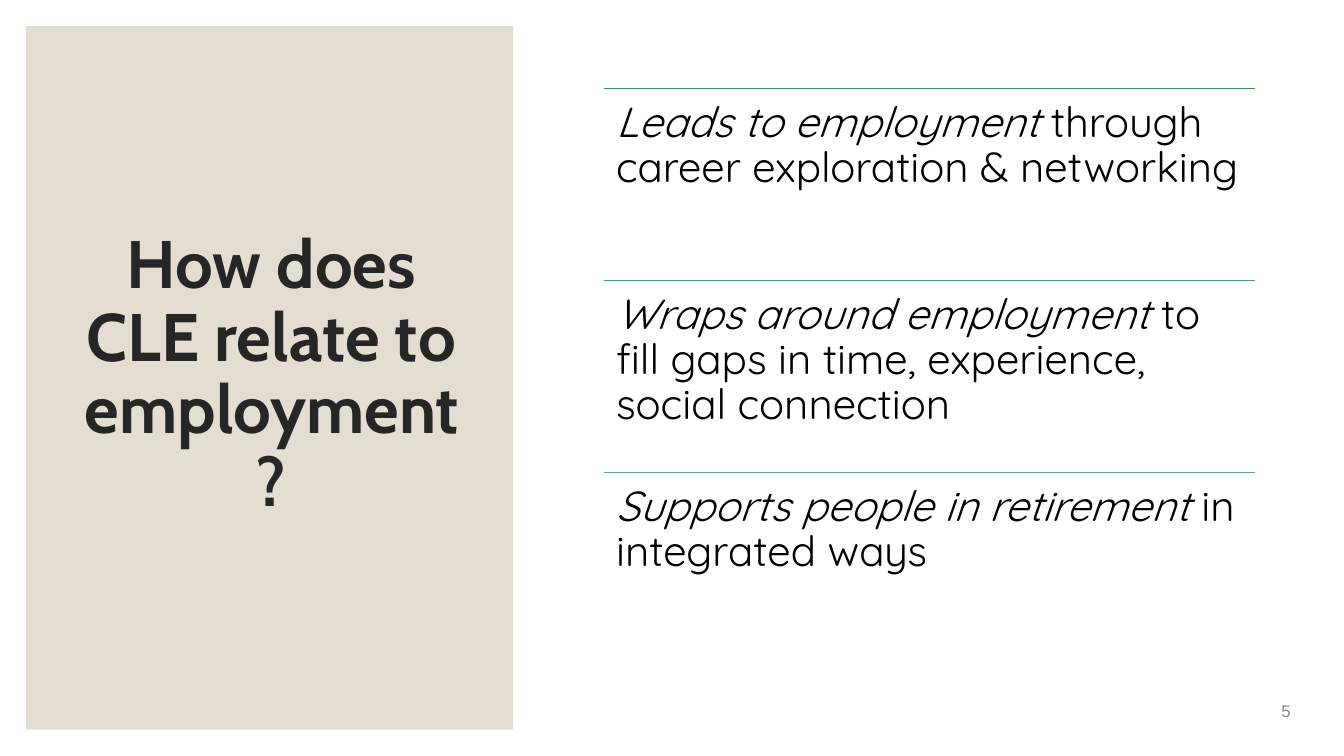
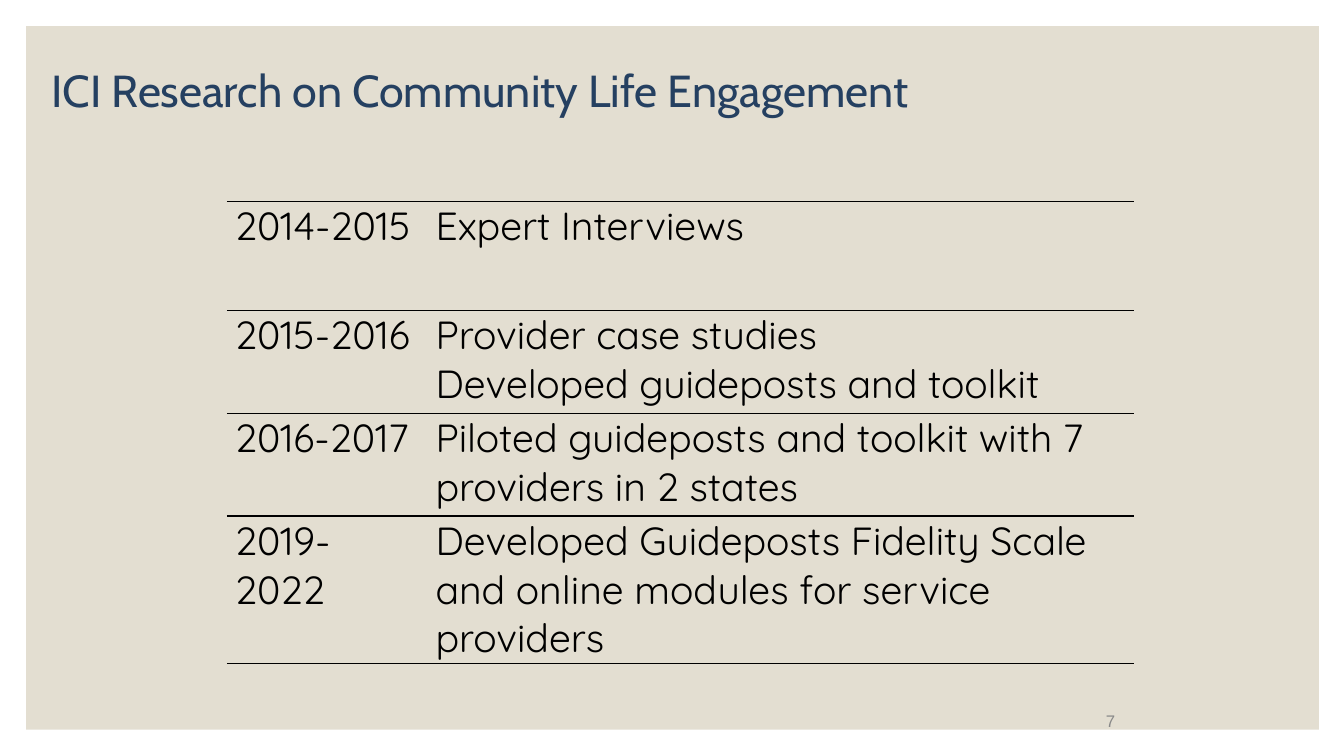
import pptx
import pptx.util
import pptx.dml.color
import pptx.enum.shapes
import pptx.enum.text
import lxml.etree
from pptx.util import Inches

ALIGN = pptx.enum.text.PP_ALIGN
ANCHOR = pptx.enum.text.MSO_ANCHOR
DRAWING_NS = "http://schemas.openxmlformats.org/drawingml/2006/main"

THEME = {
    "panel": "E3DED1",
    "rules": ["3E8853", "4E977B", "62A39F"],
    "question": {"name": "Cabin", "size": 48, "color": "262626", "bold": True},
    "title": {"name": "Cabin", "size": 32, "color": "254061"},
    "point": {"name": "Quicksand", "size": 30, "color": "000000"},
    "cell": {"name": "Quicksand", "size": 28, "color": "000000"},
    "number": {"name": "Arial", "size": 12, "color": "898989"},
}


def write(frame, paragraphs, style, inset=(0.1, 0.05), anchor=ANCHOR.TOP, **paragraph_format):
    """Fill a text frame; each paragraph is a list of (text, font overrides)."""
    side, top = map(Inches, inset)
    frame_format = {"word_wrap": True, "vertical_anchor": anchor, "margin_left": side,
                    "margin_right": side, "margin_top": top, "margin_bottom": top}
    for key, value in frame_format.items():
        setattr(frame, key, value)
    for index, runs in enumerate(paragraphs):
        paragraph = frame.add_paragraph() if index else frame.paragraphs[0]
        for key, value in paragraph_format.items():
            setattr(paragraph, key, value)
        for text, overrides in runs:
            run = paragraph.add_run()
            run.text = text
            for key, value in {**style, **overrides}.items():
                if key == "color":
                    run.font.color.rgb = pptx.dml.color.RGBColor.from_string(value)
                else:
                    setattr(run.font, key, pptx.util.Pt(value) if key == "size" else value)


def add_panel(slide, width):
    panel = slide.shapes.add_shape(pptx.enum.shapes.MSO_SHAPE.RECTANGLE, Inches(0.26),
                                   Inches(0.26), Inches(width), Inches(6.98))
    panel.shadow.inherit = False
    panel.fill.solid()
    panel.fill.fore_color.rgb = pptx.dml.color.RGBColor.from_string(THEME["panel"])
    panel.line.fill.background()


deck = pptx.Presentation()
deck.slide_width, deck.slide_height = Inches(13.33), Inches(7.5)
blank = deck.slide_layouts[6]

# Slide 1: question panel
employment = deck.slides.add_slide(blank)
add_panel(employment, 4.83)
question = employment.shapes.add_textbox(Inches(0.63), Inches(0.61), Inches(4.12), Inches(6.24))
write(question.text_frame, [[("How does CLE relate to employment?", {})]], THEME["question"],
      anchor=ANCHOR.MIDDLE, alignment=ALIGN.CENTER, line_spacing=0.9)

# Slide 1: ruled points
points = [
    ("Leads to employment", " through career exploration & networking"),
    ("Wraps around employment", " to fill gaps in time, experience, social connection"),
    ("Supports people in retirement", " in integrated ways"),
]
point_left, point_width, point_height = Inches(5.99), Inches(6.46), Inches(1.9)
for index, ((lead, rest), color) in enumerate(zip(points, THEME["rules"])):
    top = Inches(0.88 + 1.905 * index)
    rule = employment.shapes.add_connector(pptx.enum.shapes.MSO_CONNECTOR.STRAIGHT,
                                           point_left, top, point_left + point_width, top)
    rule.line.color.rgb = pptx.dml.color.RGBColor.from_string(color)
    rule.line.width = pptx.util.Pt(1)
    lxml.etree.SubElement(rule._element.spPr, f"{{{DRAWING_NS}}}effectLst")
    point = employment.shapes.add_textbox(point_left, top, point_width, point_height)
    write(point.text_frame, [[(lead, {"italic": True}), (rest, {})]], THEME["point"],
          inset=(0.12, 0.12), line_spacing=0.9)

# Slide 2: panel and title
research = deck.slides.add_slide(blank)
add_panel(research, 12.82)
title = research.shapes.add_textbox(Inches(0.41), Inches(0.3), Inches(12.69), Inches(1.25))
write(title.text_frame, [[("ICI Research on Community Life Engagement", {})]], THEME["title"],
      anchor=ANCHOR.MIDDLE, line_spacing=0.9)

# Slide 2: research timeline
phases = [
    ("2014-2015", ["Expert Interviews"], 1.08),
    ("2015-2016", ["Provider case studies", "Developed guideposts and toolkit"], 1.02),
    ("2016-2017", ["Piloted guideposts and toolkit with 7 providers in 2 states"], 1.02),
    ("2019-2022", ["Developed Guideposts Fidelity Scale and online modules for service providers"],
     1.46),
]
timeline = research.shapes.add_table(len(phases), 2, Inches(2.25), Inches(2), Inches(9),
                                     Inches(4.58)).table
timeline.first_row = timeline.horz_banding = False
for column, width in zip(timeline.columns, (1.99, 7.01)):
    column.width = Inches(width)
for row, (years, activities, height) in zip(timeline.rows, phases):
    row.height = Inches(height)
    for cell, lines in zip(row.cells, ([years], activities)):
        write(cell.text_frame, [[(line, {})] for line in lines], THEME["cell"])
        cell.margin_left = cell.margin_right = Inches(0.08)
        cell.margin_top = cell.margin_bottom = 0
        cell.fill.background()
        # Borders: black above and below, none at the sides
        properties = cell._tc.get_or_add_tcPr()
        for position, side in enumerate("LRTB"):
            border = lxml.etree.Element(f"{{{DRAWING_NS}}}ln{side}", w="12700")
            if side in "TB":
                ink = lxml.etree.SubElement(border, f"{{{DRAWING_NS}}}solidFill")
                lxml.etree.SubElement(ink, f"{{{DRAWING_NS}}}srgbClr", val=THEME["cell"]["color"])
            else:
                lxml.etree.SubElement(border, f"{{{DRAWING_NS}}}noFill")
            properties.insert(position, border)

# Slide numbers
for slide, number, box, anchor, space_after in [
    (employment, "5", (12, 6.9, 0.9, 0.3), ANCHOR.BOTTOM, 6),
    (research, "7", (8.83, 6.95, 2.33, 0.4), ANCHOR.MIDDLE, 0),
]:
    folio = slide.shapes.add_textbox(*map(Inches, box))
    write(folio.text_frame, [[(number, {})]], THEME["number"], anchor=anchor,
          alignment=ALIGN.RIGHT, space_after=pptx.util.Pt(space_after))

deck.save("out.pptx")
